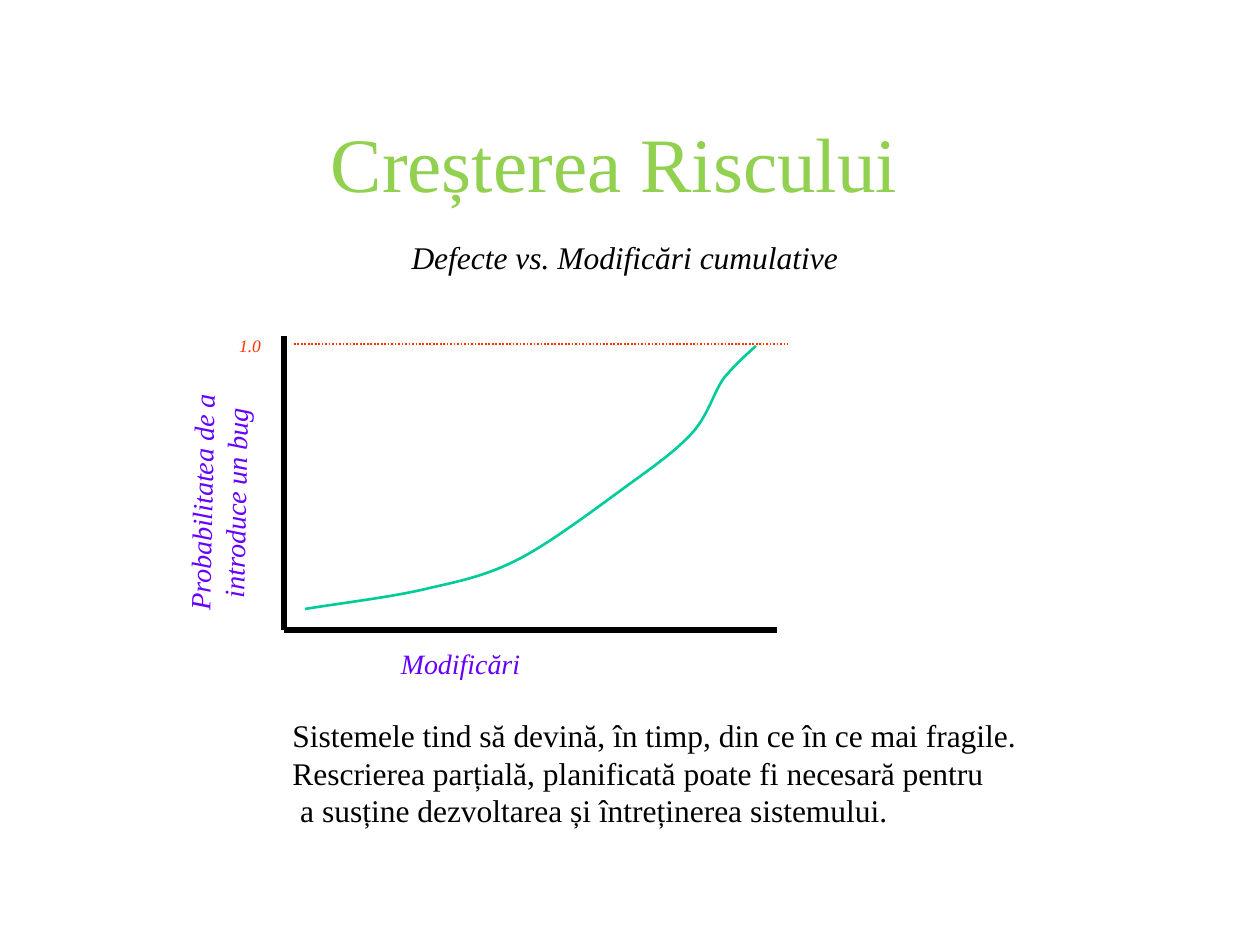
from lxml import etree
from pptx import Presentation
from pptx.dml.color import RGBColor
from pptx.enum.dml import MSO_LINE_DASH_STYLE as DASH
from pptx.enum.shapes import MSO_CONNECTOR
from pptx.enum.text import MSO_ANCHOR, MSO_AUTO_SIZE, PP_ALIGN
from pptx.oxml.ns import qn
from pptx.util import Emu, Pt

EMU_PER_PX = 914400 / 126
BLACK = RGBColor(0x00, 0x00, 0x00)
TITLE_GREEN = RGBColor(0x92, 0xD0, 0x50)
LABEL_VIOLET = RGBColor(0x66, 0x00, 0xFF)
LIMIT_RED = RGBColor(0xFF, 0x33, 0x00)
CURVE_TEAL = RGBColor(0x00, 0xCC, 0x99)

# Start point, then two control points and an end point for each segment
RISK_CURVE = [
    (305, 609),
    (349, 602), (393, 597), (430, 588),
    (465, 580), (489, 575), (523, 557),
    (556, 539), (602, 504), (631, 483),
    (660, 462), (678, 449), (694, 431),
    (709, 413), (714, 392), (724, 378),
    (736, 364), (746, 355), (756, 346),
]


def px(value):
    return Emu(round(value * EMU_PER_PX))


def apply_format(target, values):
    for name, value in values.items():
        setattr(target, name, value)


class SlideBuilder:
    """Holds the text style and the slide being built."""

    font_name = "Times New Roman"

    def __init__(self, slide):
        self.slide = slide

    def text(self, box, lines, size, color, italic=False,
             align=PP_ALIGN.CENTER, rotation=0, wrap=False):
        shape = self.slide.shapes.add_textbox(*map(px, box))
        shape.rotation = rotation
        frame = shape.text_frame
        apply_format(frame, {
            "word_wrap": wrap,
            "vertical_anchor": MSO_ANCHOR.MIDDLE,
            "auto_size": MSO_AUTO_SIZE.NONE if wrap else MSO_AUTO_SIZE.SHAPE_TO_FIT_TEXT,
        })
        frame.text = "\n".join(lines)
        for paragraph in frame.paragraphs:
            paragraph.alignment = align
            font = paragraph.runs[0].font
            apply_format(font, {"name": self.font_name, "size": Pt(size), "italic": italic})
            font.color.rgb = color

    def line(self, start, end, color, width, dash=None):
        connector = self.slide.shapes.add_connector(
            MSO_CONNECTOR.STRAIGHT, *map(px, start + end))
        connector.line.color.rgb = color
        apply_format(connector.line, {"width": Pt(width), "dash_style": dash})
        etree.SubElement(connector._element.spPr, qn("a:effectLst"))

    def curve(self, points, color, width):
        """Draw an open Bézier curve by merging each three vertices into one segment."""
        builder = self.slide.shapes.build_freeform(*points[0], scale=EMU_PER_PX)
        builder.add_line_segments(points[1:], close=False)
        shape = builder.convert_to_shape()
        vertices = list(shape._element.iter(qn("a:lnTo")))
        for first in range(0, len(vertices), 3):
            segment = etree.Element(qn("a:cubicBezTo"))
            vertices[first].addprevious(segment)
            for vertex in vertices[first:first + 3]:
                segment.append(vertex[0])
                vertex.getparent().remove(vertex)
        shape.shadow.inherit = False
        shape.fill.background()
        shape.line.color.rgb = color
        shape.line.width = Pt(width)


def main():
    presentation = Presentation()
    presentation.slide_width, presentation.slide_height = px(1260), px(945)
    builder = SlideBuilder(presentation.slides.add_slide(presentation.slide_layouts[6]))

    builder.text((210, 94, 809, 136), ["Creșterea Riscului"], 44, TITLE_GREEN, wrap=True)
    builder.text((397, 232, 456, 50), ["Defecte vs. Modificări cumulative"],
                 18, BLACK, italic=True)
    builder.text((280, 709, 765, 127), [
        "Sistemele tind să devină, în timp, din ce în ce mai fragile.",
        "Rescrierea parțială, planificată poate fi necesară pentru",
        " a susține dezvoltarea și întreținerea sistemului.",
    ], 18, BLACK, align=PP_ALIGN.LEFT)

    axis_origin = (284, 630)
    builder.line((284, 336), axis_origin, BLACK, 3)
    builder.line(axis_origin, (777, 630), BLACK, 3)
    builder.text((387, 640, 147, 47), ["Modificări"], 16, LABEL_VIOLET, italic=True)
    builder.text((92, 462, 252, 81), ["Probabilitatea de a", "introduce un bug"],
                 16, LABEL_VIOLET, italic=True, rotation=271.1)

    builder.line((294, 344), (788, 344), LIMIT_RED, 1, DASH.ROUND_DOT)
    builder.text((226, 328, 48, 34), ["1.0"], 10, LIMIT_RED, italic=True)
    builder.curve(RISK_CURVE, CURVE_TEAL, 1.5)

    presentation.save("out.pptx")


if __name__ == "__main__":
    main()
